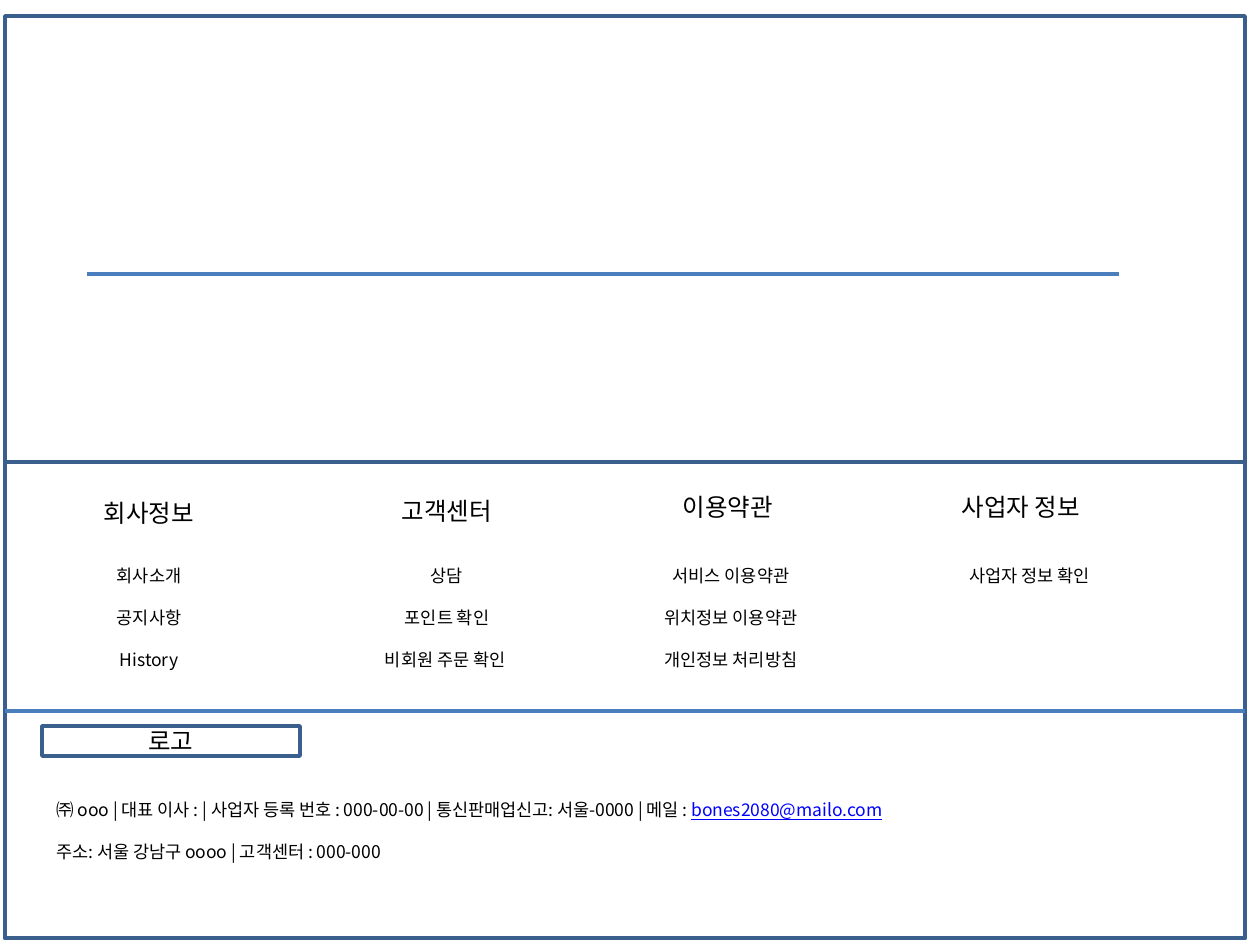
from lxml import etree
from pptx import Presentation
from pptx.dml.color import RGBColor
from pptx.enum.shapes import MSO_CONNECTOR, MSO_SHAPE
from pptx.enum.text import MSO_ANCHOR, PP_ALIGN
from pptx.oxml.ns import qn
from pptx.util import Emu, Pt

LEFT, CENTER = PP_ALIGN.LEFT, PP_ALIGN.CENTER
TOP, MIDDLE = MSO_ANCHOR.TOP, MSO_ANCHOR.MIDDLE
RECTANGLE, STRAIGHT = MSO_SHAPE.RECTANGLE, MSO_CONNECTOR.STRAIGHT

PX_PER_INCH = 126
FONT = "Noto Sans CJK KR"
COLORS = {"border": "3A5F8C", "rule": "4B7EBC", "text": "000000", "link": "0000FF"}
HEADING = {"size": Pt(14), "name": FONT}
BODY = {"size": Pt(10), "name": FONT}
LINE_HEIGHT = {"heading": Pt(17), "body": Pt(12)}


def px(length):
    return Emu(round(length * 914400 / PX_PER_INCH))


def color(name):
    return RGBColor.from_string(COLORS[name])


class SlideBuilder:
    def __init__(self, slide):
        self.slide = slide

    def frame(self, left, top, width, height):
        shape = self.slide.shapes.add_shape(
            RECTANGLE, px(left), px(top), px(width), px(height))
        shape.shadow.inherit = False
        shape.fill.background()
        shape.line.color.rgb = color("border")
        shape.line.width = Pt(2)
        return shape

    def rule(self, left, right, y):
        connector = self.slide.shapes.add_connector(
            STRAIGHT, px(left), px(y), px(right), px(y))
        connector.line.color.rgb = color("rule")
        connector.line.width = Pt(2.25)
        etree.SubElement(connector._element.spPr, qn("a:effectLst"))

    def text(self, left, top, width, height, lines, style, align=CENTER):
        box = self.slide.shapes.add_textbox(px(left), px(top), px(width), px(height))
        self.fill_text(box, lines, style, align, TOP)

    def fill_text(self, shape, lines, style, align, anchor):
        """Each line is a list of (text, colour name) runs."""
        frame = shape.text_frame
        frame.word_wrap = True
        frame.vertical_anchor = anchor
        spacing = LINE_HEIGHT["heading" if style is HEADING else "body"]
        for index, runs in enumerate(lines):
            paragraph = frame.add_paragraph() if index else frame.paragraphs[0]
            paragraph.alignment = align
            paragraph.line_spacing = spacing
            if index:
                paragraph.space_before = spacing
            for text, color_name in runs:
                run = paragraph.add_run()
                run.text = text
                run.font.color.rgb = color(color_name)
                run.font.underline = color_name == "link"
                for attribute, value in style.items():
                    setattr(run.font, attribute, value)


def main():
    presentation = Presentation()
    presentation.slide_width, presentation.slide_height = px(1260), px(945)
    slide = presentation.slides.add_slide(presentation.slide_layouts[6])
    builder = SlideBuilder(slide)

    # Page frame, footer frame and content rule
    builder.frame(5, 16, 1240, 922)
    builder.frame(5, 462, 1240, 476)
    builder.rule(87, 1119, 274)

    # Footer menu: heading position, list left edge, heading, entries
    menu = [
        (25, 491, 25, "회사정보", ["회사소개", "공지사항", "History"]),
        (323, 489, 323, "고객센터", ["상담", "포인트 확인", "비회원 주문 확인 "]),
        (604, 485, 607, "이용약관",
         ["서비스 이용약관", "위치정보 이용약관", "개인정보 처리방침"]),
        (897, 485, 905, "사업자 정보", ["사업자 정보 확인"]),
    ]
    for left, top, list_left, heading, entries in menu:
        builder.text(left, top, 248, 43, [[(heading, "text")]], HEADING)
        builder.text(list_left, 559, 248, 42 * len(entries) - 8,
                     [[(entry, "text")] for entry in entries], BODY)

    # Logo box
    logo = builder.frame(42, 726, 258, 30)
    builder.fill_text(logo, [[("로고", "text")]], HEADING, CENTER, MIDDLE)

    # Company details
    details = [
        [("㈜ ooo | 대표 이사 : | 사업자 등록 번호 : 000-00-00 | "
          "통신판매업신고: 서울-0000 | 메일 : ", "text"),
         ("bones2080@mailo.com", "link")],
        [("주소: 서울 강남구 oooo | 고객센터 : 000-000", "text")],
    ]
    builder.text(44, 793, 1178, 77, details, BODY, LEFT)
    builder.rule(5, 1245, 711)

    presentation.save("out.pptx")


if __name__ == "__main__":
    main()
